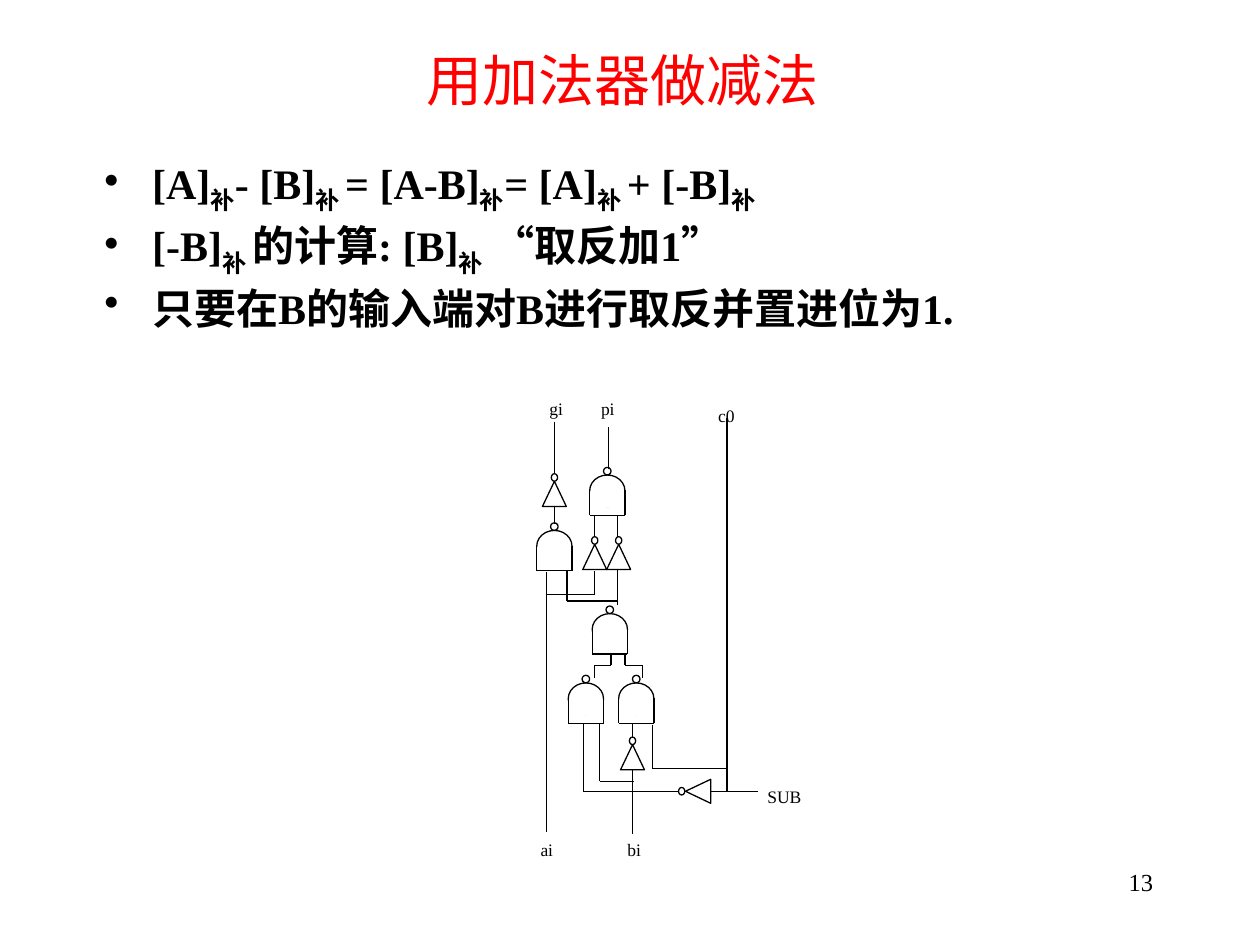
from dataclasses import dataclass
from itertools import pairwise

from lxml.etree import SubElement
from pptx import Presentation
from pptx.dml.color import RGBColor
from pptx.enum.shapes import MSO_CONNECTOR as Connector, MSO_SHAPE as Shape
from pptx.enum.text import MSO_ANCHOR as Anchor, MSO_AUTO_SIZE as AutoSize, PP_ALIGN as Align
from pptx.oxml.ns import qn
from pptx.util import Inches, Pt


@dataclass(frozen=True)
class Theme:
    """Colours, fonts and type sizes of the slide."""
    ink: RGBColor = RGBColor(0, 0, 0)
    paper: RGBColor = RGBColor(255, 255, 255)
    accent: RGBColor = RGBColor(255, 0, 0)
    title_font: str = "Arial"
    body_font: str = "Times New Roman"
    title_size: int = 32
    body_size: int = 24
    number_size: int = 14
    label_size: int = 10
    line_width: float = 0.75


THEME = Theme()
TITLE = "用加法器做减法"
SUBSCRIPTS = ("补", "补 ")
BULLETS = [
    ["[A]", "补", "- [B]", "补 ", "= [A-B]", "补", "= [A]", "补 ", "+ [-B]", "补"],
    ["[-B]", "补 ", "的计算: [B]", "补", " “取反加1”"],
    ["只要在B的输入端对B进行取反并置进位为1."],
]
GATES = [(0.06, 1.01), (0.48, 0.57), (0.5, 1.67), (0.31, 2.22), (0.71, 2.22)]
UP, LEFT = (0, -1, 180), (-1, 0, 90)
INVERTERS = [(0.2, 0.72, UP), (0.52, 1.22, UP), (0.71, 1.22, UP), (0.82, 2.81, UP), (1.34, 3.08, LEFT)]
WIRES = [
    [(0.2, 0.15), (0.2, 0.96)],
    [(0.63, 0.19), (0.63, 0.52)],
    [(0.52, 0.89), (0.52, 1.05)],
    [(0.7, 0.89), (0.7, 1.06)],
    [(0.3, 1.33), (0.3, 1.57), (0.7, 1.57)],
    [(0.7, 1.32), (0.7, 1.6)],
    [(0.52, 1.33), (0.52, 1.52), (0.14, 1.52)],
    [(0.14, 1.34), (0.14, 3.4)],
    [(0.65, 1.99), (0.65, 2.08), (0.52, 2.08), (0.52, 2.18)],
    [(0.76, 1.99), (0.76, 2.08), (0.9, 2.08), (0.9, 2.18)],
    [(0.98, 2.55), (0.98, 2.9), (1.57, 2.9)],
    [(0.56, 2.54), (0.56, 3), (0.83, 3)],
    [(0.82, 2.54), (0.82, 3.42)],
    [(0.43, 2.54), (0.43, 3.08), (1.82, 3.08)],
    [(1.57, 0.12), (1.57, 3.08)],
]
LABELS = [("gi", 0.16, 0.04), ("pi", 0.57, 0.04), ("c0", 1.5, 0.1),
          ("SUB", 1.89, 3.12), ("ai", 0.09, 3.54), ("bi", 0.78, 3.54)]


def add_run(paragraph, text, size, font=THEME.body_font, color=THEME.ink, bold=False):
    """Append one formatted run to a paragraph."""
    run = paragraph.add_run()
    run.text = text
    run.font.size, run.font.name, run.font.bold = Pt(size), font, bold
    run.font.color.rgb = color
    return run


def add_text_frame(slide, box, margins=(0.1, 0.05)):
    """Add a wrapping text box and return its frame."""
    frame = slide.shapes.add_textbox(*map(Inches, box)).text_frame
    frame.word_wrap = True
    frame.margin_left = frame.margin_right = Inches(margins[0])
    frame.margin_top = frame.margin_bottom = Inches(margins[1])
    return frame


def add_line(shapes, start, end):
    """Add a plain wire between two points."""
    line = shapes.add_connector(Connector.STRAIGHT, *map(Inches, start + end))
    line.line.color.rgb = THEME.ink
    line.line.width = Pt(THEME.line_width)
    SubElement(line._element.spPr, qn("a:effectLst"))


def add_part(shapes, kind, box, filled=True, outlined=True):
    """Add one preset shape of a circuit symbol."""
    shape = shapes.add_shape(kind, *map(Inches, box))
    shape.shadow.inherit = False
    if filled:
        shape.fill.solid()
        shape.fill.fore_color.rgb = THEME.paper
    else:
        shape.fill.background()
    if outlined:
        shape.line.color.rgb = THEME.ink
        shape.line.width = Pt(THEME.line_width)
    else:
        shape.line.fill.background()
    return shape


def add_gate(slide, left, top):
    """Draw a NAND gate whose dome starts at the given corner."""
    shapes = slide.shapes.add_group_shape().shapes
    width, shoulder, base = 0.28, top + 0.12, top + 0.32
    right = left + width
    add_part(shapes, Shape.OVAL, (left, top, width, 0.25))
    add_part(shapes, Shape.RECTANGLE, (left, top + 0.13, width, 0.13), outlined=False)
    add_line(shapes, (left, base), (right, base))
    for side in (left, right):
        add_line(shapes, (side, shoulder), (side, base))
    add_part(shapes, Shape.OVAL, (left + 0.11, top - 0.06, 0.06, 0.06), filled=False)


def add_inverter(slide, x, y, direction):
    """Draw an inverter centred on a point and aimed in a direction."""
    shapes = slide.shapes.add_group_shape().shapes
    across, down, angle = direction
    triangle = add_part(shapes, Shape.FLOWCHART_MERGE, (x - 0.095, y - 0.1, 0.19, 0.2))
    triangle.rotation = angle
    bubble_x, bubble_y = x + 0.13 * across, y + 0.13 * down
    add_part(shapes, Shape.OVAL, (bubble_x - 0.025, bubble_y - 0.03, 0.05, 0.06))


def place_title(slide, box):
    """Move and format the title placeholder."""
    title = slide.shapes.title
    title.left, title.top, title.width, title.height = map(Inches, box)
    frame = title.text_frame
    frame.auto_size = AutoSize.NONE
    frame.vertical_anchor = Anchor.MIDDLE
    paragraph = frame.paragraphs[0]
    paragraph.alignment = Align.CENTER
    add_run(paragraph, TITLE, THEME.title_size, THEME.title_font, THEME.accent)


def place_bullets(slide, box):
    """Write the bulleted formulas with lowered subscripts."""
    frame = add_text_frame(slide, box)
    for index, pieces in enumerate(BULLETS):
        paragraph = frame.add_paragraph() if index else frame.paragraphs[0]
        paragraph.line_spacing = 1.0
        paragraph.space_before = Pt(3)
        properties = paragraph._p.get_or_add_pPr()
        properties.set("marL", str(Inches(0.38)))
        properties.set("indent", str(Inches(-0.38)))
        SubElement(properties, qn("a:buChar")).set("char", "•")
        for piece in pieces:
            run = add_run(paragraph, piece, THEME.body_size, bold=True)
            if piece in SUBSCRIPTS:
                run._r.get_or_add_rPr().set("baseline", "-25000")


def place_circuit(slide, box):
    """Draw the add-subtract cell from the corner of its box."""
    left, top = box[:2]
    for wire in WIRES:
        points = [(left + x, top + y) for x, y in wire]
        for start, end in pairwise(points):
            add_line(slide.shapes, start, end)
    for x, y in GATES:
        add_gate(slide, left + x, top + y)
    for x, y, direction in INVERTERS:
        add_inverter(slide, left + x, top + y, direction)
    for text, x, y in LABELS:
        frame = add_text_frame(slide, (left + x, top + y - 0.1, 0.35, 0.2), (0, 0))
        frame.vertical_anchor = Anchor.MIDDLE
        add_run(frame.paragraphs[0], text, THEME.label_size)


def place_number(slide, box):
    """Write the page number at the right of its box."""
    paragraph = add_text_frame(slide, box).paragraphs[0]
    paragraph.alignment = Align.RIGHT
    add_run(paragraph, "13", THEME.number_size)


def main():
    """Build and save the presentation."""
    presentation = Presentation()
    presentation.slide_width, presentation.slide_height = Inches(10), Inches(7.5)
    slide = presentation.slides.add_slide(presentation.slide_layouts[5])
    place_title(slide, (0.69, 0, 8.5, 1.25))
    place_bullets(slide, (0.73, 1.2, 8.5, 1.56))
    place_circuit(slide, (4.2, 3.2, 2.24, 3.7))
    place_number(slide, (7.17, 6.83, 2.08, 0.5))
    presentation.save("out.pptx")


if __name__ == "__main__":
    main()
